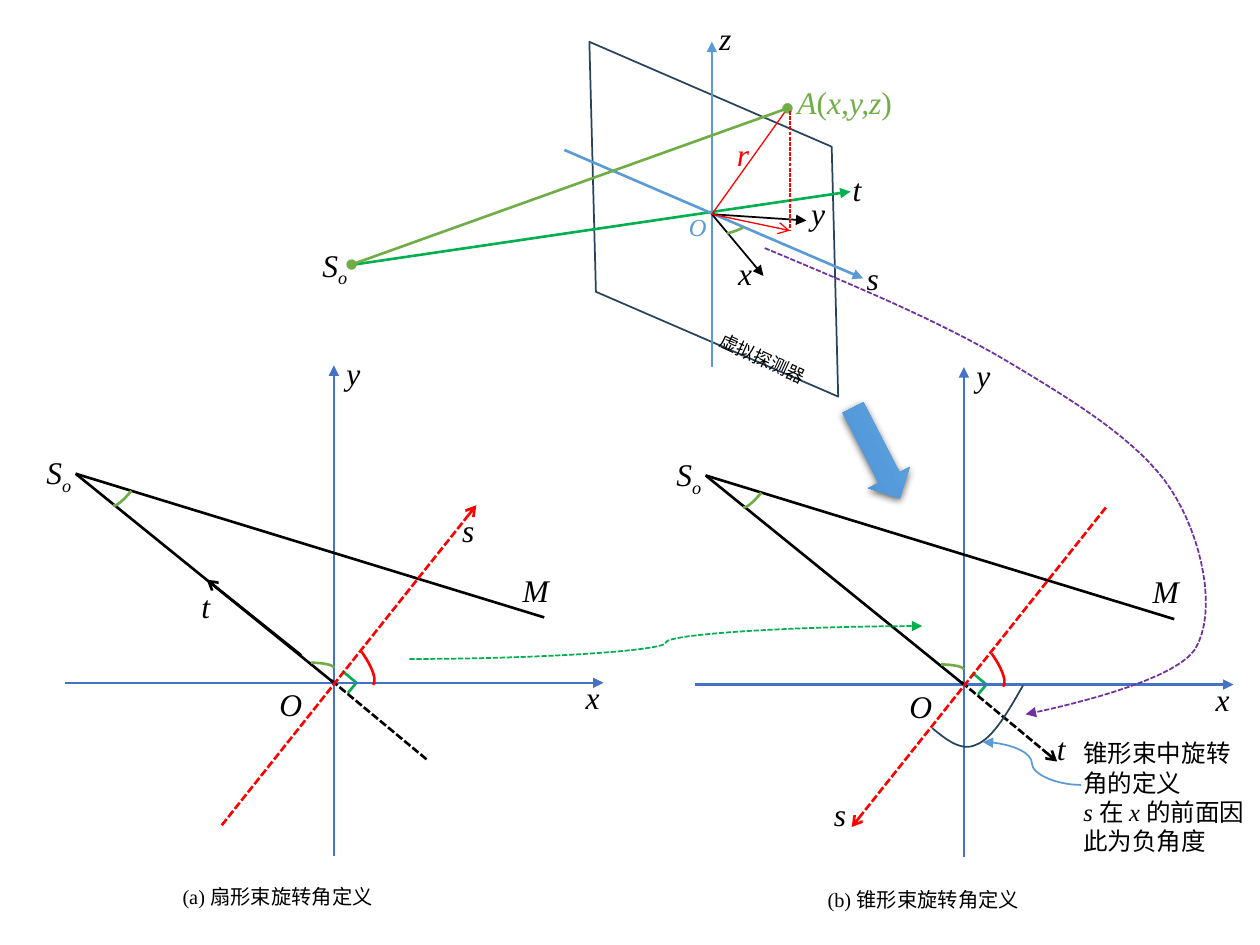
import copy
import pptx
import pptx.util
import pptx.dml.color
import pptx.enum.dml
import pptx.enum.shapes
import pptx.enum.text
import pptx.oxml
import pptx.oxml.ns
from lxml import etree

Pt = pptx.util.Pt
qn = pptx.oxml.ns.qn
rgb = pptx.dml.color.RGBColor.from_string
SHAPES = pptx.enum.shapes.MSO_SHAPE
CONNECTORS = pptx.enum.shapes.MSO_CONNECTOR

BLACK, RED, GREEN, LEAF = "000000", "FF0000", "00B050", "70AD47"
SKY, AXIS, NAVY, PURPLE = "5B9BD5", "4472C4", "28445D", "7030A0"

deck = pptx.Presentation()
deck.slide_width, deck.slide_height = Pt(720), Pt(540)
slide = deck.slides.add_slide(deck.slide_layouts[6])
shapes = slide.shapes


def stroke(item, color, width=1.5, dashed=False, head=None, tail=None):
    """Style an outline; head sits at the start of the line, tail at its end."""
    item.line.color.rgb = rgb(color)
    item.line.width = Pt(width)
    if dashed:
        item.line.dash_style = pptx.enum.dml.MSO_LINE.SQUARE_DOT
    for tag, kind in (("a:headEnd", head), ("a:tailEnd", tail)):
        if kind:
            etree.SubElement(item.line._get_or_add_ln(), qn(tag), type=kind)
    etree.SubElement(item._element.spPr, qn("a:effectLst"))


def label(place, *paragraphs, color=BLACK, size=18, rotation=0):
    """Add a text box; each paragraph is a list of (text, italic, baseline) runs."""
    box = shapes.add_textbox(*map(Pt, place))
    box.rotation = rotation
    frame = box.text_frame
    frame.word_wrap = True
    frame.auto_size = pptx.enum.text.MSO_AUTO_SIZE.SHAPE_TO_FIT_TEXT
    for index, runs in enumerate(paragraphs):
        paragraph = frame.add_paragraph() if index else frame.paragraphs[0]
        for text, italic, baseline in runs:
            run = paragraph.add_run()
            run.text = text
            run.font.name = "Times New Roman"
            run.font.size = Pt(size)
            run.font.italic = italic
            run.font.color.rgb = rgb(color)
            if baseline:
                run.font._element.set("baseline", str(baseline * 1000))


SOURCE = [("S", True, 0), ("o", True, -25)]

# Straight lines: start, end, colour, width, dashed, head, tail
O3D, POINT_A, FOOT = (406.8, 122.4), (450, 61.9), (451.4, 131.8)
lines = [
    ((486, 109.5), (202.3, 151.2), GREEN, 1.5, False, "triangle", None),
    ((322.5, 85.7), (493.2, 159.1), SKY, 1.5, False, None, "triangle"),
    ((406.8, 23.8), (406.8, 209.5), SKY, 1.5, False, "triangle", None),
    (O3D, (436.3, 157.7), BLACK, 1, False, None, "triangle"),
    (O3D, (460.8, 126), BLACK, 1, False, None, "triangle"),
    (POINT_A, O3D, RED, 0.75, False, None, None),
    (POINT_A, (200.9, 151.2), LEAF, 1.5, False, "oval", "oval"),
    ((451.4, 63.4), FOOT, RED, 0.75, True, None, None),
    (FOOT, O3D, RED, 0.75, False, "arrow", None),
    ((118.1, 331.2), (172.1, 374.4), BLACK, 1.5, False, "arrow", None),
]
# Arcs: left, top, width, height, rotation, colour, end angle
arcs = [(410.4, 124.6, 25.9, 5.8, 154.7, LEAF, 209.26)]
# Single italic letters: text, left, top, width, height, colour, size
letters = [
    ("O", 386.6, 117.4, 26.6, 24.5, SKY, 14),
    ("x", 414.7, 141.8, 21.6, 28.8, BLACK, 18),
    ("y", 456.5, 107.3, 21.6, 28.8, BLACK, 18),
    ("s", 488.2, 144.7, 21.6, 28.8, BLACK, 18),
    ("z", 403.9, 7.2, 21.6, 28.8, BLACK, 18),
    ("t", 480.2, 93.6, 21.6, 28.8, BLACK, 18),
    ("r", 414, 73.4, 21.6, 28.8, RED, 18),
]
for text, x, y in (("s", 257, 288.7), ("t", 108, 331.9), ("s", 469.4, 450.7), ("t", 596.9, 413.3)):
    letters.append((text, x, y, 23.8, 28.8, BLACK, 18))
sources = [(177.1, 136.8)]

# Panels (a) and (b) share one construction; only the arrowheads differ
for dx, dy, s_head, s_tail, t_tail in ((0, 0, None, "arrow", None), (360, 1, "arrow", None, "arrow")):
    for x1, y1, x2, y2, *style in (
        (37.4, 390.2, 344.9, 390.2, AXIS, 1.5, False, None, "triangle"),
        (190.8, 488.9, 190.8, 208.8, AXIS, 1.5, False, None, "triangle"),
        (43.2, 270.7, 190.8, 390.2, BLACK, 1.5, False, None, None),
        (43.2, 270.7, 311, 352.8, BLACK, 1.5, False, None, None),
        (189.4, 388.8, 244.1, 434.2, BLACK, 1.5, True, None, t_tail),
        (126.7, 471.6, 272.2, 288.7, RED, 1.5, True, s_head, s_tail),
    ):
        lines.append(((x1 + dx, y1 + dy), (x2 + dx, y2 + dy), *style))
    for x, y, *rest in (
        (164.9, 378.7, 25.9, 5.8, 0, LEAF, 0),
        (59.8, 275.8, 25.9, 5.8, 128.6, LEAF, 0),
        (182.9, 370.1, 38.2, 11.5, 54.3, RED, 0),
    ):
        arcs.append((x + dx, y + dy, *rest))
    for text, x, y in (("y", 190.8, 198.7), ("M", 291.6, 322.6), ("x", 327.6, 383.8), ("O", 152.6, 388.1)):
        letters.append((text, x + dx, y + dy, 23.8, 28.8, BLACK, 18))
    sources.append((19.4 + dx, 255.6 + dy))

    right_angle = shapes.add_connector(
        CONNECTORS.ELBOW, Pt(192.2 + dx), Pt(385.9 + dy), Pt(202.3 + dx), Pt(393.1 + dy))
    right_angle._element.spPr.find(qn("a:xfrm")).set("rot", str(40 * 60000))
    bend = right_angle._element.spPr.find(qn("a:prstGeom")).get_or_add_avLst()
    etree.SubElement(bend, qn("a:gd"), name="adj1", fmla="val 103100")
    stroke(right_angle, GREEN)

detector = shapes.add_shape(SHAPES.PARALLELOGRAM, Pt(302.4), Pt(60.5), Pt(211), Pt(129.6))
detector.rotation = 23.4
detector.adjustments[0] = 0.464
detector._element.spPr.find(qn("a:xfrm")).set("flipH", "1")
detector.fill.background()
stroke(detector, NAVY, 1)

for start, end, *style in lines:
    line = shapes.add_connector(CONNECTORS.STRAIGHT, *map(Pt, start + end))
    stroke(line, *style)

for *place, rotation, color, end_angle in arcs:
    arc = shapes.add_shape(SHAPES.ARC, *map(Pt, place))
    arc.rotation = rotation
    if end_angle:
        arc.adjustments[1] = end_angle
    arc.fill.background()
    stroke(arc, color)

for ends, *style in (
    ((617.8, 448.6, 561.6, 424.1), SKY, 1, False, None, "triangle"),
    ((234, 376.6, 527, 357.8), GREEN, 1, True, None, "triangle"),
):
    stroke(shapes.add_connector(CONNECTORS.CURVE, *map(Pt, ends)), *style)

# Smooth curves: Bezier knots and handles, three points per segment after the first
for knots, *style in (
    ([(532.8, 416.2), (540.7, 422.6), (549.4, 429.8), (558, 425.5),
      (567.4, 421.9), (576, 406.8), (584.6, 391.7)], NAVY, 1),
    ([(437, 141.8), (486.7, 162.7), (535.7, 182.9), (574.6, 205.9),
      (613.4, 229), (650.9, 252), (668.9, 279.4),
      (686.9, 306.7), (696.2, 349.9), (682.6, 371.5),
      (668.2, 392.4), (586.1, 408.2), (586.1, 408.2)], PURPLE, 1, True, None, "triangle"),
):
    trace = []
    for first in range(0, len(knots) - 1, 3):
        segment = knots[first:first + 4]
        for step in range(1, 17):
            u = step / 16
            weights = ((1 - u) ** 3, 3 * u * (1 - u) ** 2, 3 * u ** 2 * (1 - u), u ** 3)
            trace.append(tuple(
                Pt(sum(w * knot[axis] for w, knot in zip(weights, segment))) for axis in (0, 1)))
    builder = shapes.build_freeform(*map(Pt, knots[0]))
    builder.add_line_segments(trace, close=False)
    curve = builder.convert_to_shape()
    curve.fill.background()
    stroke(curve, *style)

transition = shapes.add_shape(SHAPES.RIGHT_ARROW, Pt(471.6), Pt(245.5), Pt(58.3), Pt(26.6))
transition.rotation = 62.8
transition.line.fill.background()
transition.fill.gradient()
transition.fill.gradient_angle = 270
stop_list = transition._element.spPr.find(".//" + qn("a:gsLst"))
stop_list.insert(1, copy.deepcopy(stop_list[0]))
for stop, position, color in zip(transition.fill.gradient_stops, (0, 0.5, 1), ("71A6DB", "559BDB", "448ACA")):
    stop.position = position
    stop.color.rgb = rgb(color)
transition._element.spPr.append(pptx.oxml.parse_xml(
    '<a:effectLst xmlns:a="http://schemas.openxmlformats.org/drawingml/2006/main">'
    '<a:outerShdw blurRad="57150" dist="19050" dir="5400000" algn="ctr" rotWithShape="0">'
    '<a:srgbClr val="000000"><a:alpha val="63000"/></a:srgbClr></a:outerShdw></a:effectLst>'))

for text, *place, color, size in letters:
    label(place, [(text, True, 0)], color=color, size=size)
for x, y in sources:
    label((x, y, 36, 28.8), SOURCE)
label((448.6, 43.9, 70.6, 28.8),
      [("A", True, 0), ("(", False, 0), ("x,y,z", True, 0), (")", False, 0)], color=LEAF)
label((406.8, 186.5, 78.5, 21.6), [("虚拟探测器", False, -25)], rotation=24.8)
label((612, 418.3, 110.2, 74.9),
      [("锥形束中旋转角的定义", False, 0)],
      [("s ", True, 0), ("在 ", False, 0), ("x ", True, 0), ("的前面因此为负角度", False, 0)], size=14)
for x, y, caption in ((97.2, 488.2, "(a) 扇形束旋转角定义"), (465.8, 490.3, "(b) 锥形束旋转角定义")):
    label((x, y, 143.3, 23.8), [(caption, False, -25)], size=20)

deck.save("out.pptx")
